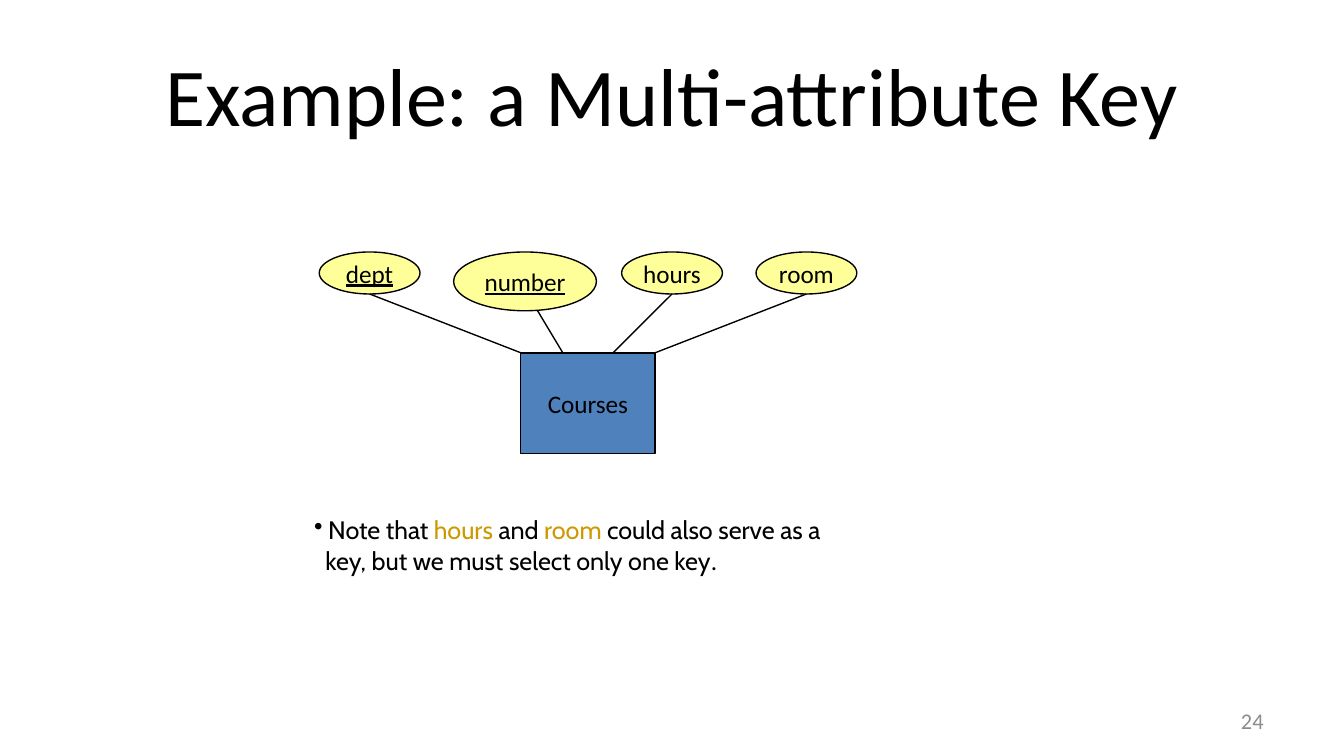
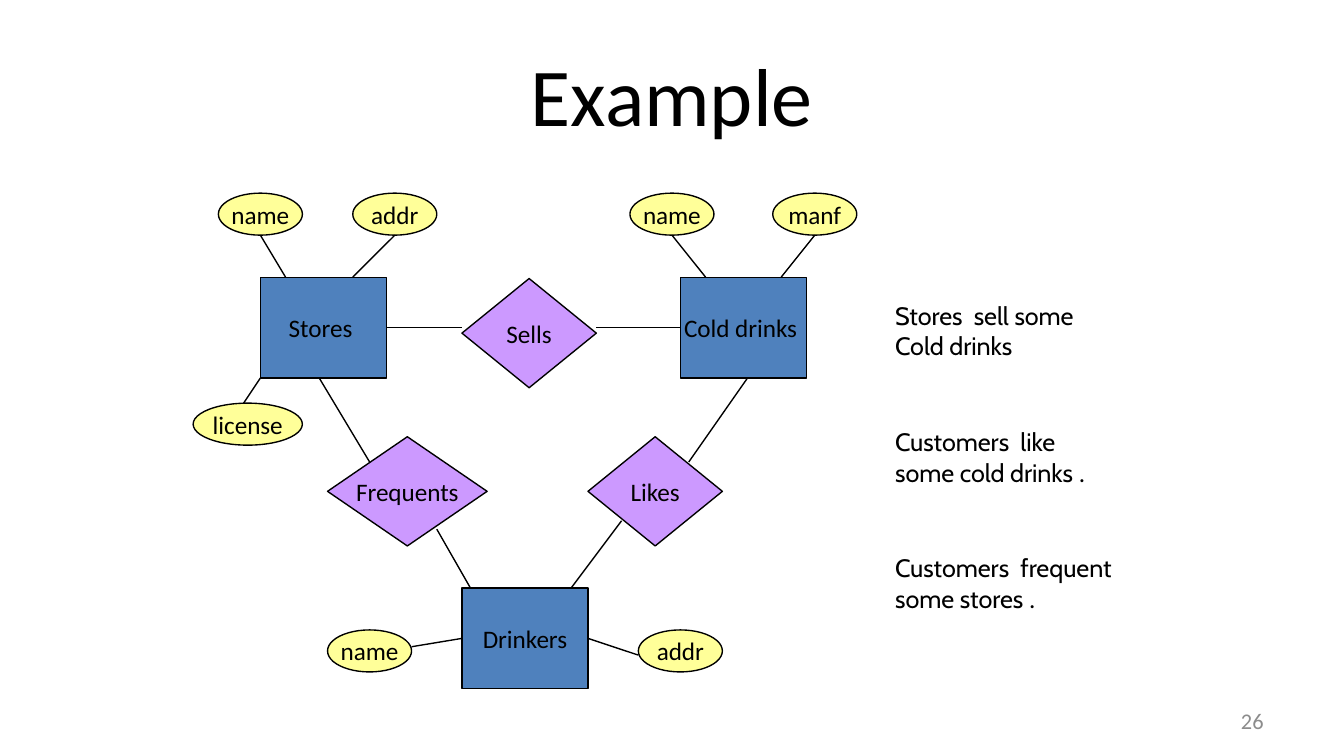
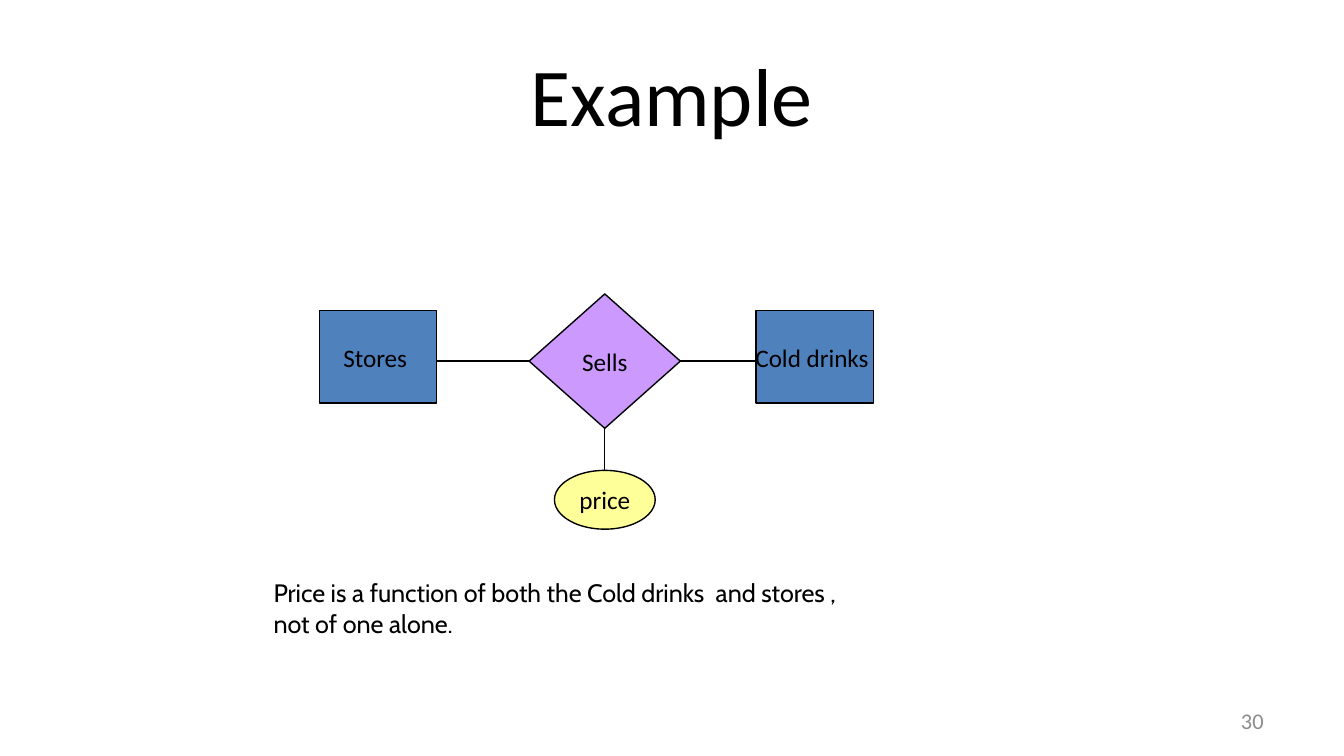
from dataclasses import dataclass

from pptx import Presentation
from pptx import util as u
from pptx.dml.color import RGBColor
from pptx.enum import shapes, text
from pptx.oxml.ns import qn

PX = 9525  # EMU in one px, 96 px to the inch


@dataclass(frozen=True)
class Theme:
    ink: str = "000000"
    grey: str = "8C8C8C"
    accent: str = "CC9900"
    entity: str = "4F81BD"
    attribute: str = "FFFF99"
    relation: str = "CC99FF"
    title_size: float = 44
    body_size: float = 13.5
    number_size: float = 12
    line_width: float = 0.75
    font: str = "Calibri"
    note_font: str = "Cabin"


T = Theme()
SHAPE = shapes.MSO_SHAPE
ENTITY = (SHAPE.RECTANGLE, T.entity)
ATTRIBUTE = (SHAPE.OVAL, T.attribute)
RELATION = (SHAPE.DIAMOND, T.relation)

TITLE_BOX = (48, 22, 864, 90)
NUMBER_BOX = (688, 500, 224, 29)


def emu(*lengths):
    return [u.Emu(n * PX) for n in lengths]


def shifted(box, dx, dy):
    return (box[0] + dx, box[1] + dy, *box[2:])


def style_run(r, size=T.body_size, color=T.ink, font=T.font):
    r.font.size = u.Pt(size)
    r.font.name = font
    r.font.color.rgb = RGBColor.from_string(color)


def style_line(line):
    line.color.rgb = RGBColor.from_string(T.ink)
    line.width = u.Pt(T.line_width)


def add_node(parts, kind, box, label, underline=False):
    preset, fill = kind
    sp = parts.add_shape(preset, *emu(*box))
    sp.shadow.inherit = False
    sp.fill.solid()
    sp.fill.fore_color.rgb = RGBColor.from_string(fill)
    style_line(sp.line)
    tf = sp.text_frame
    tf.text = label
    tf.word_wrap = False
    tf.vertical_anchor = text.MSO_ANCHOR.MIDDLE
    p = tf.paragraphs[0]
    p.alignment = text.PP_ALIGN.CENTER
    style_run(p.runs[0])
    if underline:
        p.runs[0].font.underline = True
    return sp


def side_at(sp, point):
    """Number of the side of sp whose middle is at point, or None."""
    x, y = emu(*point)
    cx, cy = sp.left + sp.width // 2, sp.top + sp.height // 2
    middles = [(cx, sp.top), (sp.left, cy),
               (cx, sp.top + sp.height), (sp.left + sp.width, cy)]
    return middles.index((x, y)) if (x, y) in middles else None


def add_line(parts, start, end, nodes):
    """Draw a line, joined to each of nodes that it meets mid-side."""
    cn = parts.add_connector(shapes.MSO_CONNECTOR.STRAIGHT, *emu(*start, *end))
    style_line(cn.line)
    sp_pr = cn._element.spPr
    sp_pr.append(sp_pr.makeelement(qn("a:effectLst"), {}))
    for point, connect in ((start, cn.begin_connect), (end, cn.end_connect)):
        for sp in nodes:
            side = side_at(sp, point)
            if side is not None:
                connect(sp, side)


def add_cluster(parts, kind, box, label, attributes=(), links=(), others=()):
    """Place a node, its attributes and its lines, all relative to box."""
    x, y = box[:2]
    node = add_node(parts, kind, box, label)
    for name, oval, underline in attributes:
        add_node(parts, ATTRIBUTE, shifted(oval, x, y), name, underline)
    for start, end in links:
        add_line(parts, shifted(start, x, y), shifted(end, x, y), [node, *others])
    return node


def add_note(parts, box, lines):
    """Each line is a list of (text, font, colour) runs."""
    sp = parts.add_textbox(*emu(*box))
    tf = sp.text_frame
    tf.word_wrap = True
    tf.auto_size = text.MSO_AUTO_SIZE.SHAPE_TO_FIT_TEXT
    for i, runs in enumerate(lines):
        p = tf.add_paragraph() if i else tf.paragraphs[0]
        for words, font, color in runs:
            r = p.add_run()
            r.text = words
            style_run(r, color=color, font=font)
    return tf


def note(words, color=T.ink):
    return (words, T.note_font, color)


STOP = (".", T.font, T.ink)


def set_bullet(p, hang):
    pPr = p._p.get_or_add_pPr()
    pPr.set("marL", str(hang * PX))
    pPr.set("indent", str(-hang * PX))
    pPr.append(pPr.makeelement(qn("a:buChar"), {"char": "•"}))


def add_slide(prs, title, number):
    s = prs.slides.add_slide(prs.slide_layouts[5])
    sp = s.shapes.title
    sp.left, sp.top, sp.width, sp.height = emu(*TITLE_BOX)
    number_sp = s.shapes.add_textbox(*emu(*NUMBER_BOX))
    for box, words, size, color, align in (
            (sp, title, T.title_size, T.ink, text.PP_ALIGN.CENTER),
            (number_sp, number, T.number_size, T.grey, text.PP_ALIGN.RIGHT)):
        tf = box.text_frame
        tf.text = words
        tf.word_wrap = True
        tf.vertical_anchor = text.MSO_ANCHOR.MIDDLE
        p = tf.paragraphs[0]
        p.alignment = align
        style_run(p.runs[0], size, color)
    return s


def key_slide(prs):
    s = add_slide(prs, "Example: a Multi-attribute Key", "24")
    add_cluster(
        s.shapes, ENTITY, (372, 252, 96, 72), "Courses",
        [("dept", (-144, -72, 72, 30), True),
         ("number", (-48, -72, 102, 42), True),
         ("hours", (72, -72, 72, 30), False),
         ("room", (168, -72, 72, 30), False)],
        [((-108, -42), (0, 0)), ((12, -30), (30, 0)),
         ((108, -42), (66, 0)), ((204, -42), (96, 0))])
    tf = add_note(s.shapes, (215, 363, 415, 54), [
        [note("Note that "), note("hours", T.accent), note(" and "),
         note("room", T.accent), note(" could also serve as a")],
        [note("key, but we must select only one key"), STOP]])
    first, second = tf.paragraphs
    set_bullet(first, 10)
    second._p.get_or_add_pPr().set("marL", str(8 * PX))


def drinks_slide(prs):
    s = add_slide(prs, "Example", "26")

    def group():
        return s.shapes.add_group_shape().shapes

    def oval(name, x, y, w=60):
        return (name, (x, y, w, 30), False)

    drinkers = add_cluster(
        group(), ENTITY, (330, 420, 90, 72), "Drinkers",
        [oval("addr", 126, 30), oval("name", -96, 30)],
        [((-36, 42), (0, 36)), ((126, 48), (90, 36))])
    drinks = add_cluster(
        group(), ENTITY, (486, 198, 90, 72), "Cold drinks ",
        [oval("manf", 66, -60), oval("name", -36, -60)],
        [((-6, -30), (18, 0)), ((96, -30), (72, 0))])
    stores = add_cluster(
        group(), ENTITY, (186, 198, 90, 72), "Stores ",
        [oval("name", -30, -60), oval("license", -48, 90, 78), oval("addr", 66, -60)],
        [((0, -30), (18, 0)), ((96, -30), (66, 0)), ((-12, 90), (0, 72))])

    relations = [
        ("Sells", (330, 199, 96, 78),
         [((0, 35), (-54, 35)), ((96, 35), (156, 35))],
         156, [[note("Stores  sell some")], [note("Cold drinks")]]),
        ("Likes", (420, 312, 96, 78),
         [((-12, 108), (24, 60)), ((72, 18), (114, -42))],
         165, [[note("Customers  like")], [note("some cold drinks "), STOP]]),
        ("Frequents", (234, 312, 114, 78),
         [((30, 18), (-6, -42)), ((102, 108), (78, 66))],
         183, [[note("Customers  frequent")], [note("some stores "), STOP]]),
    ]
    for i, (name, box, links, width, lines) in enumerate(relations):
        parts = group()
        add_cluster(parts, RELATION, box, name, links=links,
                    others=[stores, drinks, drinkers])
        add_note(parts, (630, 210 + 90 * i, width, 54), lines)


def price_slide(prs):
    s = add_slide(prs, "Example", "30")
    for x, name in ((228, "Stores "), (540, "Cold drinks ")):
        add_node(s.shapes, ENTITY, (x, 222, 84, 66), name)
    add_cluster(
        s.shapes, RELATION, (378, 210, 108, 96), "Sells",
        [("price", (18, 126, 72, 42), False)],
        [((108, 48), (162, 48)), ((0, 48), (-66, 48)), ((54, 96), (54, 126))])
    add_note(s.shapes, (186, 408, 541, 54), [
        [note("Price is a function of both the Cold drinks  and stores ,")],
        [note("not of one alone.")]])


def main():
    prs = Presentation()
    prs.slide_width, prs.slide_height = emu(960, 540)
    for build in (key_slide, drinks_slide, price_slide):
        build(prs)
    prs.save("out.pptx")


if __name__ == "__main__":
    main()
